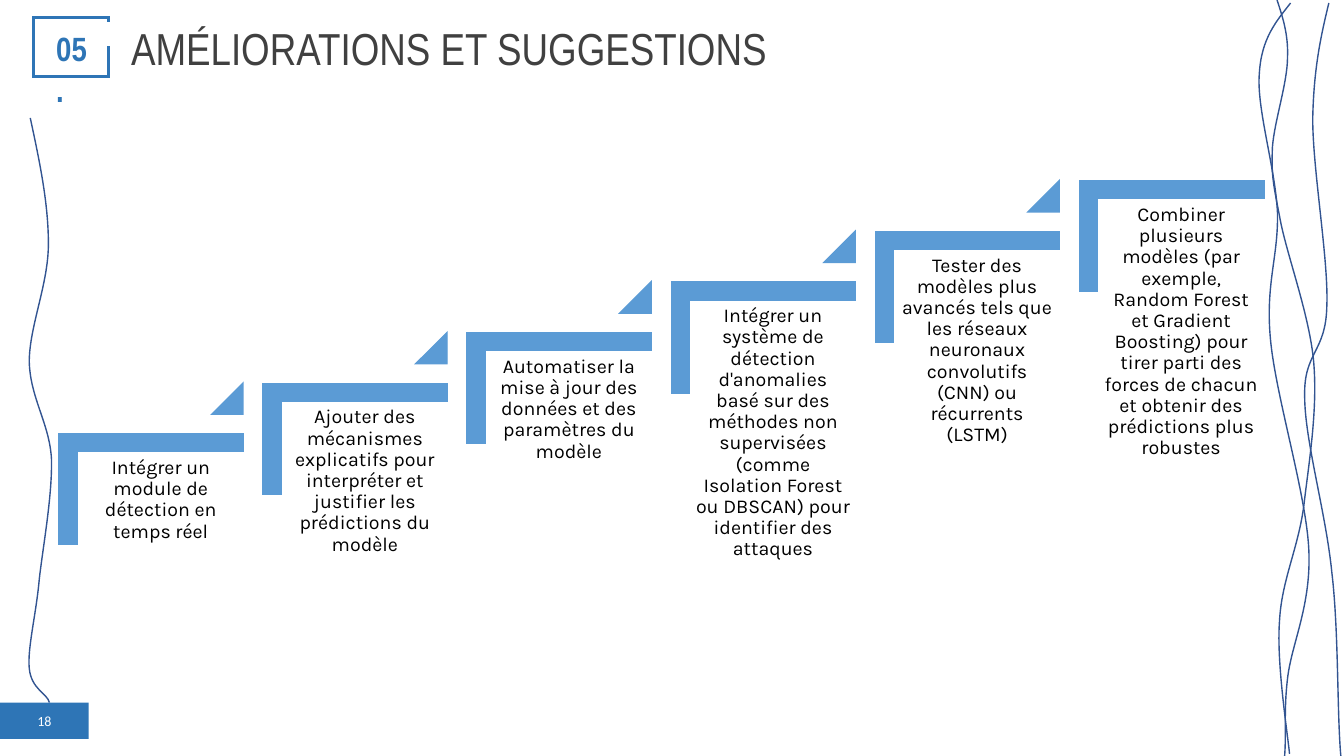
from lxml.etree import SubElement
from pptx import Presentation
from pptx.dml.color import RGBColor
from pptx.enum.shapes import MSO_SHAPE
from pptx.enum.text import MSO_ANCHOR, PP_ALIGN
from pptx.oxml.ns import qn
from pptx.util import Inches, Pt

BLUE, STEP_BLUE, WAVE_BLUE = "2E75B6", "5B9BD5", "325491"

STEPS = [
    "Intégrer un module de détection en temps réel",
    "Ajouter des mécanismes explicatifs pour interpréter et justifier les prédictions du modèle",
    "Automatiser la mise à jour des données et des paramètres du modèle",
    "Intégrer un système de détection d'anomalies basé sur des méthodes non supervisées "
    "(comme Isolation Forest ou DBSCAN) pour identifier des attaques",
    "Tester des modèles plus avancés tels que les réseaux neuronaux convolutifs (CNN) "
    "ou récurrents (LSTM)",
    "Combiner plusieurs modèles (par exemple, Random Forest et Gradient Boosting) pour tirer "
    "parti des forces de chacun et obtenir des prédictions plus robustes",
]
STEP_DX = 10.12 / (len(STEPS) - 1)
STEP_DY = -2.51 / (len(STEPS) - 1)

BADGE_FRAME = [(1.08, 0.46), (1.08, 0.76), (0.33, 0.76), (0.33, 0.17), (1.08, 0.17), (1.08, 0.22)]

# Each wave: a start point, then two control points and an end point per curve.
WAVES = [
    [(0.3, 1.17), (0.39, 1.59), (0.48, 2.01), (0.48, 2.42), (0.48, 2.82), (0.29, 3.24), (0.29, 3.59),
     (0.3, 3.95), (0.49, 4.2), (0.51, 4.55), (0.52, 4.91), (0.43, 5.4), (0.39, 5.74),
     (0.36, 6.09), (0.27, 6.43), (0.29, 6.63), (0.31, 6.84), (0.47, 6.88), (0.49, 6.97)],
    [(12.65, -0.05), (12.71, 0.14), (12.78, 0.32), (12.77, 0.57), (12.77, 0.82), (12.64, 1.2),
     (12.62, 1.46), (12.61, 1.72), (12.62, 1.79), (12.69, 2.14), (12.75, 2.5), (12.99, 3.12),
     (13.03, 3.6), (13.07, 4.08), (12.98, 4.6), (12.93, 5.03), (12.87, 5.46), (12.71, 5.76),
     (12.69, 6.17), (12.66, 6.58), (12.77, 7.27), (12.79, 7.48)],
    [(12.8, 0.03), (12.66, 0.21), (12.51, 0.38), (12.49, 0.73), (12.46, 1.07), (12.65, 1.67),
     (12.67, 2.11), (12.68, 2.55), (12.55, 2.81), (12.6, 3.36), (12.65, 3.92), (12.95, 4.88),
     (12.98, 5.44), (13.01, 6), (12.81, 6.38), (12.77, 6.73), (12.73, 7.07), (12.76, 7.27),
     (12.74, 7.51)],
    [(13.18, 0.03), (13.1, 0.36), (13.03, 0.68), (13.02, 1.18), (13.02, 1.69), (13.18, 2.59),
     (13.16, 3.04), (13.15, 3.5), (12.93, 3.49), (12.94, 3.93), (12.94, 4.37), (13.15, 5.08),
     (13.21, 5.68), (13.28, 6.27), (13.26, 7.09), (13.3, 7.51)],
]


def rgb(value):
    return RGBColor.from_string(value)


def set_line(sp, color, width):
    """Give a shape a solid line with sharp corners."""
    sp.line.color.rgb = rgb(color)
    sp.line.width = Pt(width)
    SubElement(sp.element.spPr.find(qn("a:ln")), qn("a:miter"), lim="800000")


def add_outline(s, points, color, width):
    start, *rest = [(Inches(x), Inches(y)) for x, y in points]
    builder = s.shapes.build_freeform(*start)
    builder.add_line_segments(rest, close=False)
    sp = builder.convert_to_shape()
    sp.shadow.inherit = False
    sp.fill.background()
    set_line(sp, color, width)
    return sp


def add_wave(s, nodes):
    """Draw the end points as an outline, then bend each segment into a cubic curve."""
    sp = add_outline(s, nodes[::3], WAVE_BLUE, 1)
    for k, segment in enumerate(sp.element.xpath(".//a:lnTo")):
        curve = segment.makeelement(qn("a:cubicBezTo"))
        for x, y in nodes[3 * k + 1:3 * k + 4]:
            SubElement(curve, qn("a:pt"), x=str(Inches(x) - sp.left), y=str(Inches(y) - sp.top))
        segment.getparent().replace(segment, curve)


def add_block(s, kind, box, color, adjustments=(), rotation=0):
    sp = s.shapes.add_shape(kind, *map(Inches, box))
    sp.shadow.inherit = False
    sp.fill.solid()
    sp.fill.fore_color.rgb = rgb(color)
    sp.rotation = rotation
    for k, value in enumerate(adjustments):
        sp.adjustments[k] = value
    return sp


def set_text(sp, text, font, size, color, bold=False, align=PP_ALIGN.LEFT, inset=0.0, spacing=None):
    tf = sp.text_frame
    tf.word_wrap = True
    tf.margin_left = tf.margin_right = tf.margin_top = tf.margin_bottom = Inches(inset)
    p = tf.paragraphs[0]
    p.text = text
    p.alignment = align
    p.line_spacing = spacing
    p.font.name, p.font.size, p.font.bold = font, Pt(size), bold
    p.font.color.rgb = rgb(color)


def add_text(s, box, text, *style, **options):
    sp = s.shapes.add_textbox(*map(Inches, box))
    set_text(sp, text, *style, **options)
    return sp


def add_step(s, index, text):
    dx, dy = index * STEP_DX, index * STEP_DY
    corner = add_block(s, MSO_SHAPE.CORNER, (0.95 + dx, 3.94 + dy, 1.1, 1.83), STEP_BLUE,
                       (0.161, 0.161), 90)
    set_line(corner, STEP_BLUE, 1)
    add_text(s, (0.77 + dx, 4.48 + dy, 1.65, 1.45), text, "Karla", 14, "000000",
             align=PP_ALIGN.CENTER, inset=0.06, spacing=0.9)
    if index < len(STEPS) - 1:
        triangle = add_block(s, MSO_SHAPE.ISOSCELES_TRIANGLE, (2.1 + dx, 3.8 + dy, 0.31, 0.31),
                             STEP_BLUE, (1,))
        set_line(triangle, STEP_BLUE, 1)


def add_page_number(s, number):
    sp = add_block(s, MSO_SHAPE.RECTANGLE, (0, 6.97, 0.88, 0.36), BLUE)
    sp.line.fill.background()
    set_text(sp, number, "Calibri", 10, "FFFFFF", align=PP_ALIGN.CENTER)
    sp.text_frame.vertical_anchor = MSO_ANCHOR.MIDDLE


def main():
    prs = Presentation()
    prs.slide_width, prs.slide_height = Inches(13.33), Inches(7.5)
    s = prs.slides.add_slide(prs.slide_layouts[6])
    add_outline(s, BADGE_FRAME, BLUE, 2.25)
    add_page_number(s, "18")
    badge = add_text(s, (0.46, 0.23, 0.54, 0.5), "05.", "Arial Narrow", 24, BLUE, bold=True, inset=0.1)
    badge.text_frame.margin_top = badge.text_frame.margin_bottom = Inches(0.05)
    add_text(s, (1.3, 0.21, 7.47, 0.54), "AMÉLIORATIONS ET SUGGESTIONS", "Arial Narrow", 32, "404040")
    for wave in WAVES:
        add_wave(s, wave)
    for index, text in enumerate(STEPS):
        add_step(s, index, text)
    prs.save("out.pptx")


if __name__ == "__main__":
    main()
